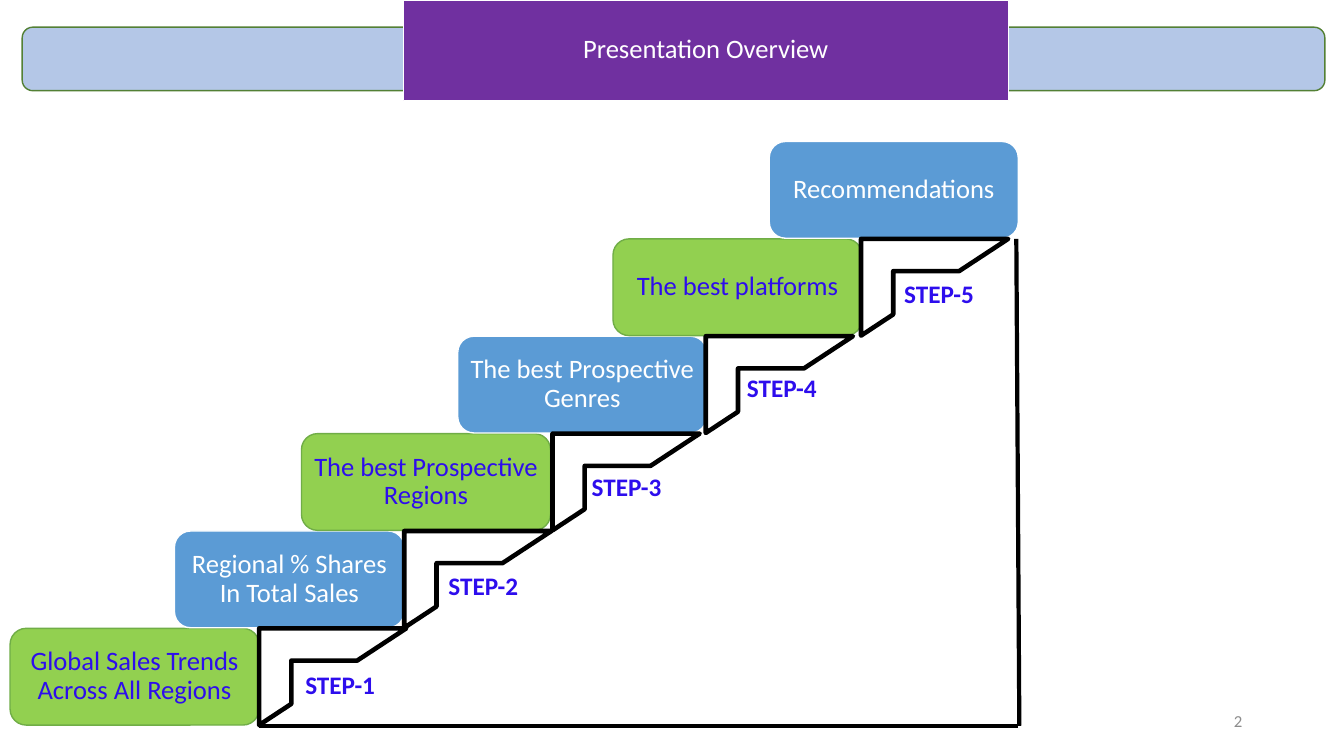
import math
from pptx import Presentation, util as u
from pptx.dml.color import RGBColor
from pptx.enum import shapes, text
from pptx.oxml.ns import qn
from lxml import etree

COLORS = {
    "white": "FFFFFF", "black": "000000", "band": "B4C7E7", "band_edge": "538035",
    "purple": "7030A0", "green": "92D050", "green_edge": "70AD47",
    "blue": "5B9BD5", "ink": "2D0DED", "gray": "8C8C8C",
}
TITLE = "Presentation Overview"
TOPICS = [
    ("Global Sales Trends Across All Regions", 0.1, 2.47),
    ("Regional % Shares In Total Sales", 1.73, 2.28),
    ("The best Prospective Regions", 2.99, 2.47),
    ("The best Prospective Genres", 4.54, 2.47),
    ("The best platforms", 6.08, 2.47),
    ("Recommendations", 7.63, 2.47),
]
STEPS = [
    ("STEP-1", 2.57, 2.93, 6.59),
    ("STEP-2", 4.01, 4.35, 5.61),
    ("STEP-3", 5.48, 5.77, 4.63),
    ("STEP-4", 7.0, 7.31, 3.64),
    ("STEP-5", 8.54, 8.87, 2.71),
]
STYLES = [("green", "green_edge", "ink"), ("blue", "white", "white")]
FLOOR = 7.2
RISE = 0.966
BOX_HEIGHT = 0.96
TITLE_BOX = (3.64, 0.27, 6.59, 0.63)
TITLE_CORNER = (0.43, 0.1)
EDGE_LINES = [((2.57, FLOOR), (10.1, FLOOR)), ((10.08, 2.37), (10.11, FLOOR))]

deck = Presentation()
deck.slide_width, deck.slide_height = u.Inches(13.33), u.Inches(7.5)
page = deck.slides.add_slide(deck.slide_layouts[6])


def color(name):
    return RGBColor.from_string(COLORS[name])


def paint(box, fill, edge, width=1):
    box.shadow.inherit = False
    box.fill.solid()
    box.fill.fore_color.rgb = color(fill)
    box.line.color.rgb = color(edge)
    box.line.width = u.Pt(width)


def add_preset(kind, place, fill, edge, width=1):
    box = page.shapes.add_shape(kind, *map(u.Inches, place))
    paint(box, fill, edge, width)
    return box


def write(box, words, size, ink, align, anchor, insets=(0.1, 0.05), bold=False, spacing=1.0):
    frame = box.text_frame
    frame.word_wrap = True
    frame.vertical_anchor = anchor
    frame.margin_left = frame.margin_right = u.Inches(insets[0])
    frame.margin_top = frame.margin_bottom = u.Inches(insets[1])
    para = frame.paragraphs[0]
    para.alignment = align
    para.line_spacing = spacing
    span = para.add_run()
    span.text = words
    span.font.name = "Calibri"
    span.font.size = u.Pt(size)
    span.font.bold = bold
    span.font.color.rgb = color(ink)


def add_label(words, place, size, ink, align, anchor, bold=False):
    box = page.shapes.add_textbox(*map(u.Inches, place))
    write(box, words, size, ink, align, anchor, bold=bold)


def rounded_outline(left, top, width, height, corner_x, corner_y):
    points = []
    for quarter in range(4):
        center_x = left + (width - corner_x if quarter in (0, 3) else corner_x)
        center_y = top + (height - corner_y if quarter < 2 else corner_y)
        for part in range(13):
            angle = (quarter + part / 12) * math.pi / 2
            points.append((center_x + corner_x * math.cos(angle),
                           center_y + corner_y * math.sin(angle)))
    return points


def add_title():
    points = rounded_outline(*TITLE_BOX, *TITLE_CORNER)
    builder = page.shapes.build_freeform(*points[0], scale=u.Inches(1))
    builder.add_line_segments(points[1:], close=True)
    box = builder.convert_to_shape()
    paint(box, "purple", "white")
    write(box, TITLE, 19, "white", text.PP_ALIGN.CENTER, text.MSO_ANCHOR.MIDDLE,
          (0.13, 0.09), spacing=0.9)


def add_edge(start, end):
    edge = page.shapes.add_connector(shapes.MSO_CONNECTOR.STRAIGHT, *map(u.Inches, start + end))
    edge.line.color.rgb = color("black")
    edge.line.width = u.Pt(3)
    etree.SubElement(edge._element.spPr, qn("a:effectLst"))


def main():
    kinds = shapes.MSO_SHAPE
    add_preset(kinds.ROUNDED_RECTANGLE, (0.22, 0.27, 12.92, 0.63), "band", "band_edge")
    for level, (words, left, width) in enumerate(TOPICS, 1):
        fill, edge, ink = STYLES[(level - 1) % 2]
        place = (left, FLOOR - level * RISE, width, BOX_HEIGHT)
        box = add_preset(kinds.ROUNDED_RECTANGLE, place, fill, edge)
        write(box, words, 19, ink, text.PP_ALIGN.CENTER, text.MSO_ANCHOR.MIDDLE,
              (0.08, 0.04), spacing=0.9)
    for level, (words, left, label_left, label_top) in enumerate(STEPS, 1):
        place = (left, FLOOR - level * RISE, 1.46, BOX_HEIGHT)
        add_preset(kinds.HALF_FRAME, place, "white", "black", 3.25)
    add_title()
    for start, end in EDGE_LINES:
        add_edge(start, end)
    for words, left, label_left, label_top in STEPS:
        add_label(words, (label_left, label_top, 1.1, 0.4), 18, "ink",
                  text.PP_ALIGN.LEFT, text.MSO_ANCHOR.TOP, True)
    add_label("2", (9.42, 6.95, 3, 0.4), 12, "gray",
              text.PP_ALIGN.RIGHT, text.MSO_ANCHOR.MIDDLE)
    deck.save("out.pptx")


if __name__ == "__main__":
    main()
